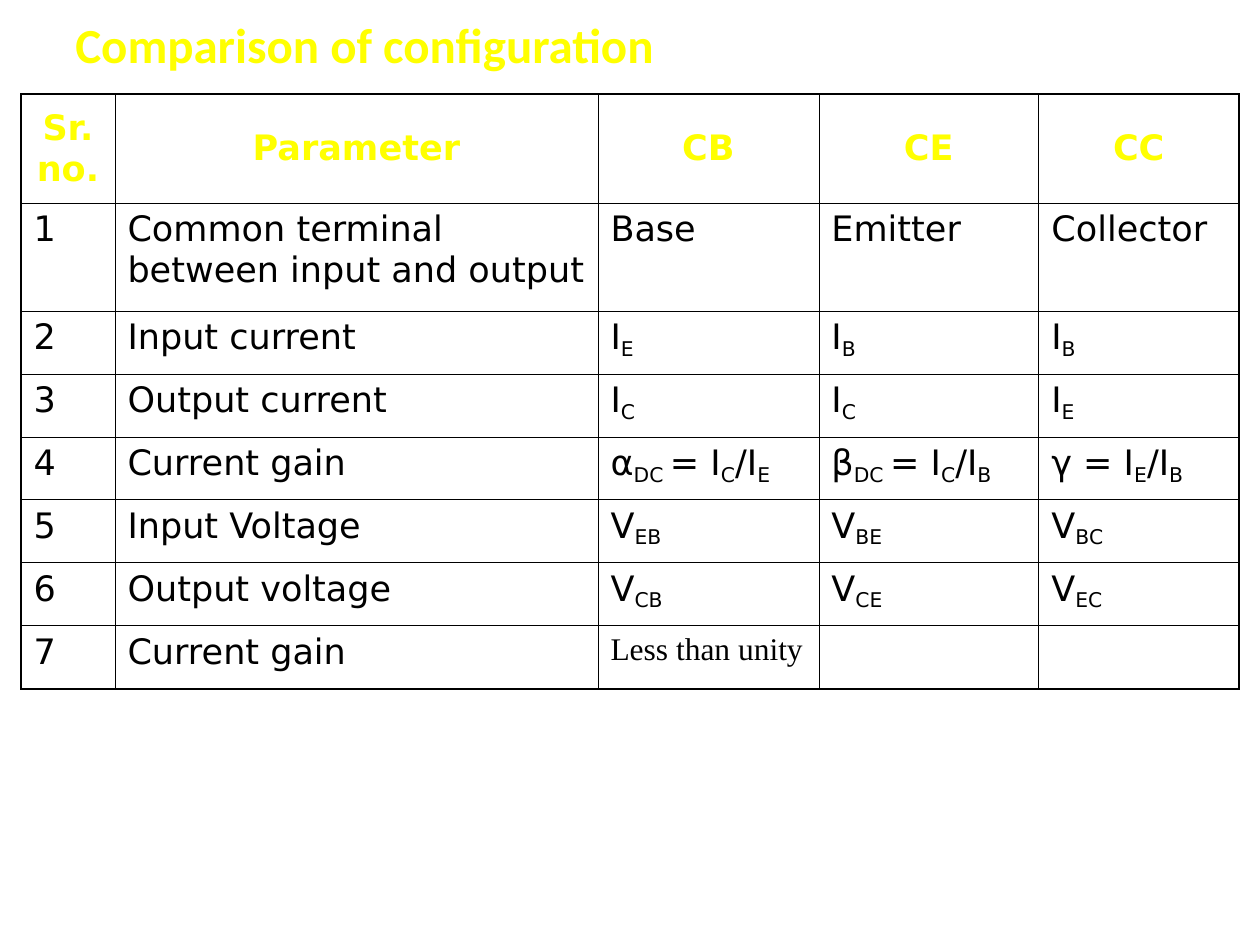
from dataclasses import dataclass

from lxml import etree
from pptx import Presentation
from pptx.dml.color import RGBColor
from pptx.enum.text import MSO_ANCHOR, PP_ALIGN
from pptx.oxml.ns import qn
from pptx.util import Pt

LEFT, CENTER = PP_ALIGN.LEFT, PP_ALIGN.CENTER
TOP, MIDDLE = MSO_ANCHOR.TOP, MSO_ANCHOR.MIDDLE

# Content: every second part between bars is a subscript
TITLE = "Comparison of configuration"
HEADERS = ["Sr.\vno.", "Parameter", "CB", "CE", "CC"]
PARAMETERS = [
    ("Common terminal between input and output", "Base", "Emitter", "Collector"),
    ("Input current", "I|E", "I|B", "I|B"),
    ("Output current", "I|C", "I|C", "I|E"),
    ("Current gain", "α|DC |= I|C|/I|E", "β|DC |= I|C|/I|B", "γ = I|E|/I|B"),
    ("Input Voltage", "V|EB", "V|BE", "V|BC"),
    ("Output voltage", "V|CB", "V|CE", "V|EC"),
    ("Current gain", "Less than unity", "", ""),
]
ROWS = [HEADERS] + [[str(number), *row] for number, row in enumerate(PARAMETERS, 1)]
NOTE_CELL = (7, 2)

# Layout in px
PX = 914400 // 126
SLIDE_SIZE = (1260, 945)
TITLE_BOX = (63, 10, 1134, 67)
TABLE_ORIGIN = (21, 94)
COLUMN_WIDTHS = [94, 483, 221, 220, 200]
ROW_HEIGHTS = [109, 108] + [63] * 6


@dataclass(frozen=True)
class Theme:
    yellow: RGBColor = RGBColor(0xFF, 0xFF, 0x00)
    black: RGBColor = RGBColor(0, 0, 0)
    outer_line: float = 1.08
    inner_line: float = 0.45
    subscript: str = "-18000"


THEME = Theme()
TITLE_FONT = {"name": "Calibri", "size": Pt(28), "bold": True}
HEADER_FONT = {"name": "DejaVu Sans", "size": Pt(20), "bold": True}
BODY_FONT = {"name": "DejaVu Sans", "size": Pt(20), "bold": False}
NOTE_FONT = {"name": "Times New Roman", "size": Pt(18), "bold": False}


def px(values):
    return [value * PX for value in values]


def write(text_frame, text, font_format, color, alignment=LEFT):
    paragraph = text_frame.paragraphs[0]
    paragraph.alignment = alignment
    for line_number, line in enumerate(text.split("\v")):
        if line_number:
            paragraph.add_line_break()
        for index, part in enumerate(line.split("|")):
            run = paragraph.add_run()
            run.text = part
            for name, value in font_format.items():
                setattr(run.font, name, value)
            run.font.color.rgb = color
            if index % 2:
                run._r.get_or_add_rPr().set("baseline", THEME.subscript)


def set_borders(cell, outer_sides):
    properties = cell._tc.get_or_add_tcPr()
    for side, is_outer in outer_sides.items():
        width = THEME.outer_line if is_outer else THEME.inner_line
        line = etree.SubElement(properties, qn(f"a:ln{side}"), w=str(int(Pt(width))))
        fill = etree.SubElement(line, qn("a:solidFill"))
        etree.SubElement(fill, qn("a:srgbClr"), val=str(THEME.black))


def add_title(slide):
    text_frame = slide.shapes.add_textbox(*px(TITLE_BOX)).text_frame
    text_frame.word_wrap = True
    text_frame.vertical_anchor = MIDDLE
    write(text_frame, TITLE, TITLE_FONT, THEME.yellow)


def add_comparison_table(slide):
    size = (sum(COLUMN_WIDTHS), sum(ROW_HEIGHTS))
    frame = slide.shapes.add_table(
        len(ROWS), len(HEADERS), *px(TABLE_ORIGIN), *px(size))
    table = frame.table
    table.first_row = table.horz_banding = False
    for column, width in zip(table.columns, px(COLUMN_WIDTHS)):
        column.width = width
    for row, height in zip(table.rows, px(ROW_HEIGHTS)):
        row.height = height

    last_row, last_column = len(ROWS) - 1, len(HEADERS) - 1
    for row, texts in enumerate(ROWS):
        for column, text in enumerate(texts):
            cell = table.cell(row, column)
            is_header = row == 0
            cell.vertical_anchor = MIDDLE if is_header else TOP
            set_borders(cell, {"L": column == 0, "R": column == last_column,
                               "T": is_header, "B": row == last_row})
            cell.fill.background()
            if is_header:
                write(cell.text_frame, text, HEADER_FONT, THEME.yellow, CENTER)
            elif text:
                font = NOTE_FONT if (row, column) == NOTE_CELL else BODY_FONT
                write(cell.text_frame, text, font, THEME.black)


def main():
    presentation = Presentation()
    presentation.slide_width, presentation.slide_height = px(SLIDE_SIZE)
    slide = presentation.slides.add_slide(presentation.slide_layouts[6])
    add_title(slide)
    add_comparison_table(slide)
    presentation.save("out.pptx")


if __name__ == "__main__":
    main()
